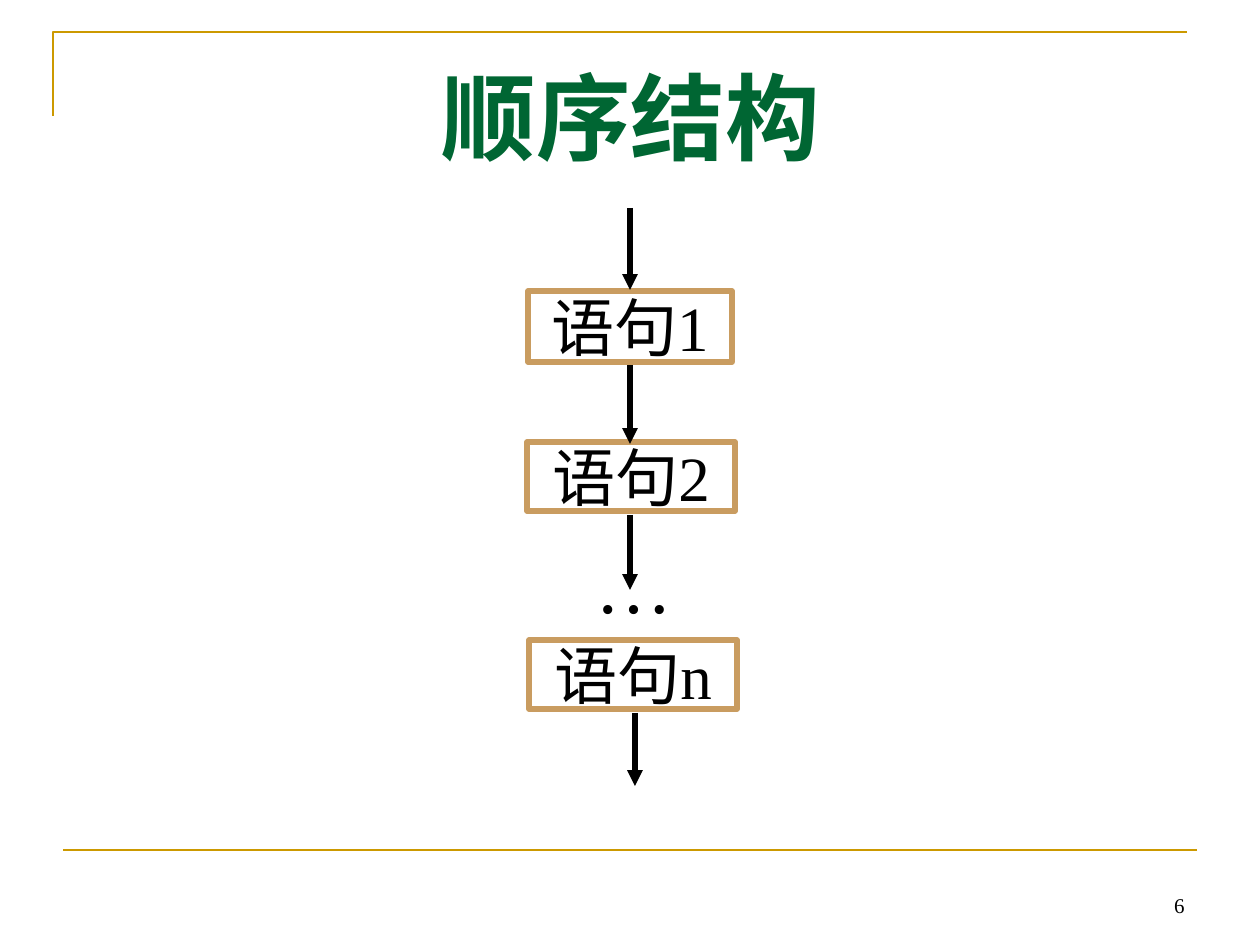
"""Build the slide that charts sequential program structure."""
import dataclasses

import lxml.etree
import pptx
import pptx.dml.color
import pptx.enum.lang
import pptx.enum.shapes
import pptx.enum.text
import pptx.oxml.ns
import pptx.util

ALIGN = pptx.enum.text.PP_ALIGN
ANCHOR = pptx.enum.text.MSO_ANCHOR
PX_PER_INCH = 126


@dataclasses.dataclass(frozen=True)
class Theme:
    font: str = "Times New Roman"
    ink: str = "000000"
    title: str = "006633"
    box: str = "C99C60"
    rule: str = "CC9900"
    title_pt: int = 54
    dots_pt: int = 44
    step_pt: int = 36
    number_pt: int = 12
    rule_pt: float = 1.5
    flow_pt: float = 3


def px(n):
    return pptx.util.Emu(round(n * pptx.util.Inches(1) / PX_PER_INCH))


def rgb(value):
    return pptx.dml.color.RGBColor.from_string(value)


class Deck:
    def __init__(self, slide, theme):
        self.s = slide
        self.theme = theme

    def stroke(self, sp, color, width):
        sp.line.color.rgb = rgb(color)
        sp.line.width = pptx.util.Pt(width)

    def label(self, sp, text, size, color=None, align=ALIGN.CENTER, bold=False, **frame):
        tf = sp.text_frame
        for name, value in frame.items():
            setattr(tf, name, value)
        p = tf.paragraphs[0]
        p.alignment = align
        r = p.add_run()
        r.text = text
        style = {
            "name": self.theme.font,
            "size": pptx.util.Pt(size),
            "bold": bold,
            "language_id": pptx.enum.lang.MSO_LANGUAGE_ID.SIMPLIFIED_CHINESE,
        }
        for name, value in style.items():
            setattr(r.font, name, value)
        r.font.color.rgb = rgb(color or self.theme.ink)

    def text(self, box, text, size, **style):
        sp = self.s.shapes.add_textbox(*map(px, box))
        self.label(sp, text, size, **style)

    def step(self, box, text):
        kind = pptx.enum.shapes.MSO_SHAPE.FLOWCHART_PROCESS
        sp = self.s.shapes.add_shape(kind, *map(px, box))
        sp.shadow.inherit = False
        sp.fill.background()
        self.stroke(sp, self.theme.box, self.theme.flow_pt)
        self.label(sp, text, self.theme.step_pt,
                   vertical_anchor=ANCHOR.MIDDLE, word_wrap=False)

    def line(self, start, end, color, width):
        kind = pptx.enum.shapes.MSO_CONNECTOR.STRAIGHT
        sp = self.s.shapes.add_connector(kind, *map(px, (*start, *end)))
        self.stroke(sp, color, width)
        lxml.etree.SubElement(sp._element.spPr, pptx.oxml.ns.qn("a:effectLst"))
        return sp

    def arrow(self, x, top, bottom):
        sp = self.line((x, top), (x, bottom), self.theme.ink, self.theme.flow_pt)
        ln = sp._element.spPr.find(pptx.oxml.ns.qn("a:ln"))
        lxml.etree.SubElement(ln, pptx.oxml.ns.qn("a:tailEnd"), type="triangle")

    def corner(self, points):
        start, *rest = [tuple(map(px, point)) for point in points]
        fb = self.s.shapes.build_freeform(*start)
        fb.add_line_segments(rest, close=False)
        sp = fb.convert_to_shape()
        sp.shadow.inherit = False
        sp.fill.background()
        self.stroke(sp, self.theme.rule, self.theme.rule_pt)


def main():
    prs = pptx.Presentation()
    prs.slide_width, prs.slide_height = px(1260), px(945)
    theme = Theme()
    deck = Deck(prs.slides.add_slide(prs.slide_layouts[6]), theme)

    deck.corner([(53, 116), (53, 32), (1187, 32)])
    deck.line((63, 850), (1197, 850), theme.rule, theme.rule_pt)
    deck.text((903, 861, 294, 63), "6", theme.number_pt, align=ALIGN.RIGHT,
              vertical_anchor=ANCHOR.BOTTOM, word_wrap=True)
    deck.text((343, 53, 576, 139), "顺序结构", theme.title_pt,
              color=theme.title, bold=True, word_wrap=True)

    steps = {
        "语句1": (528, 291, 204, 71),
        "语句2": (527, 442, 208, 69),
        "语句n": (529, 640, 208, 69),
    }
    for name, box in steps.items():
        deck.step(box, name)
    deck.text((583, 530, 102, 106), "…", theme.dots_pt, align=ALIGN.LEFT,
              word_wrap=False,
              auto_size=pptx.enum.text.MSO_AUTO_SIZE.SHAPE_TO_FIT_TEXT)
    for x, top, bottom in [(630, 208, 290), (630, 365, 444),
                           (630, 515, 590), (635, 713, 786)]:
        deck.arrow(x, top, bottom)
    prs.save("out.pptx")


if __name__ == "__main__":
    main()
